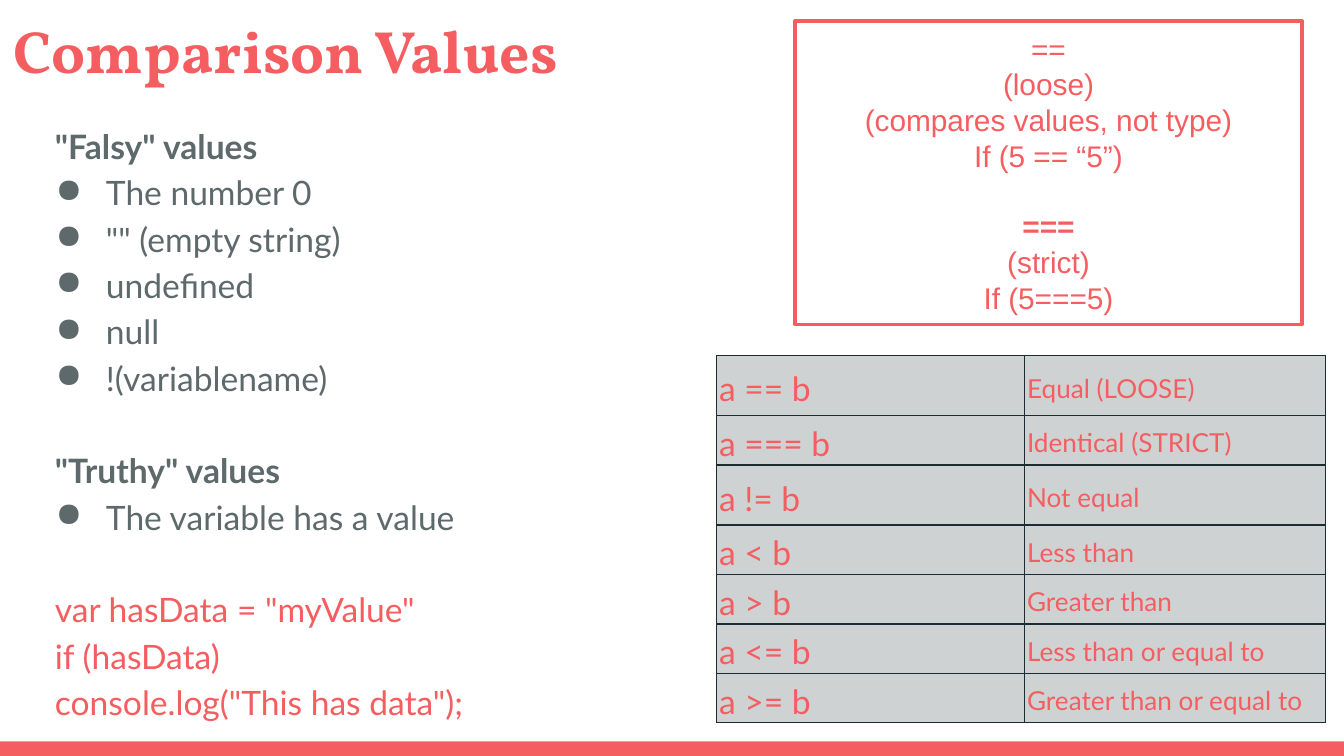
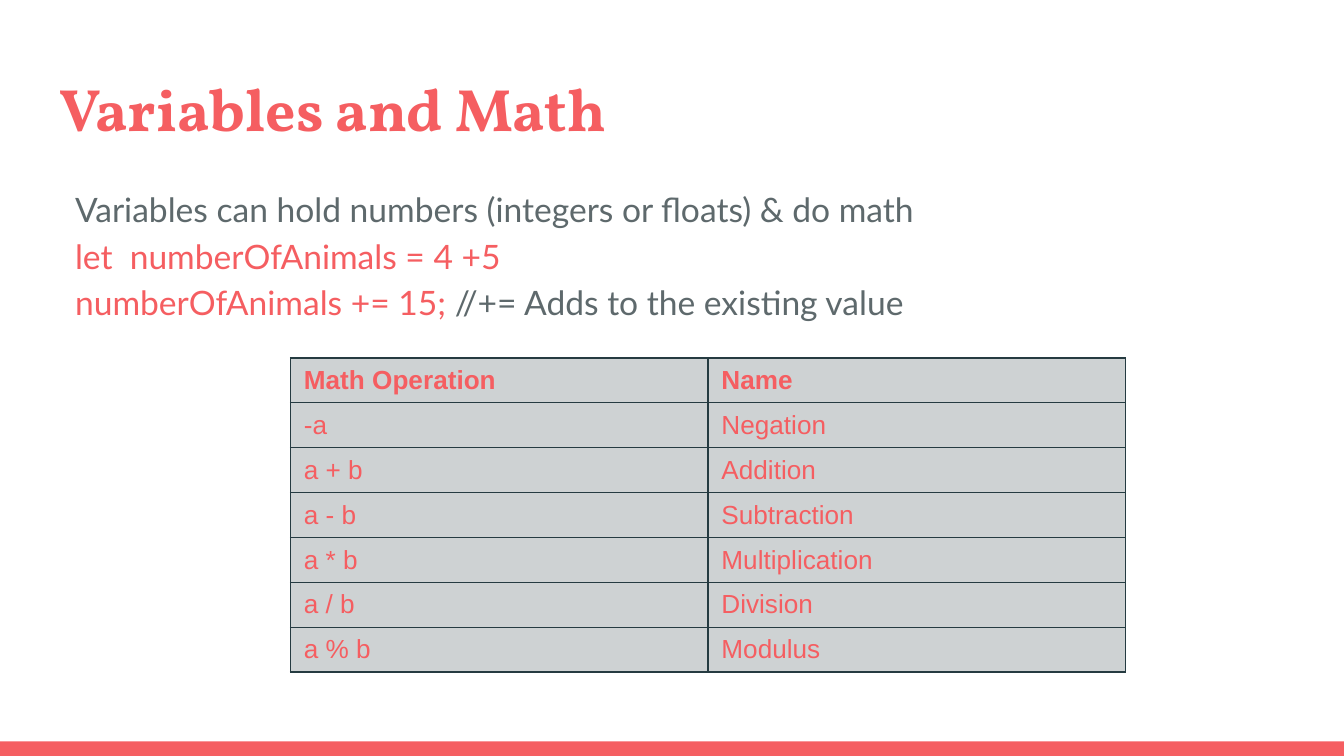
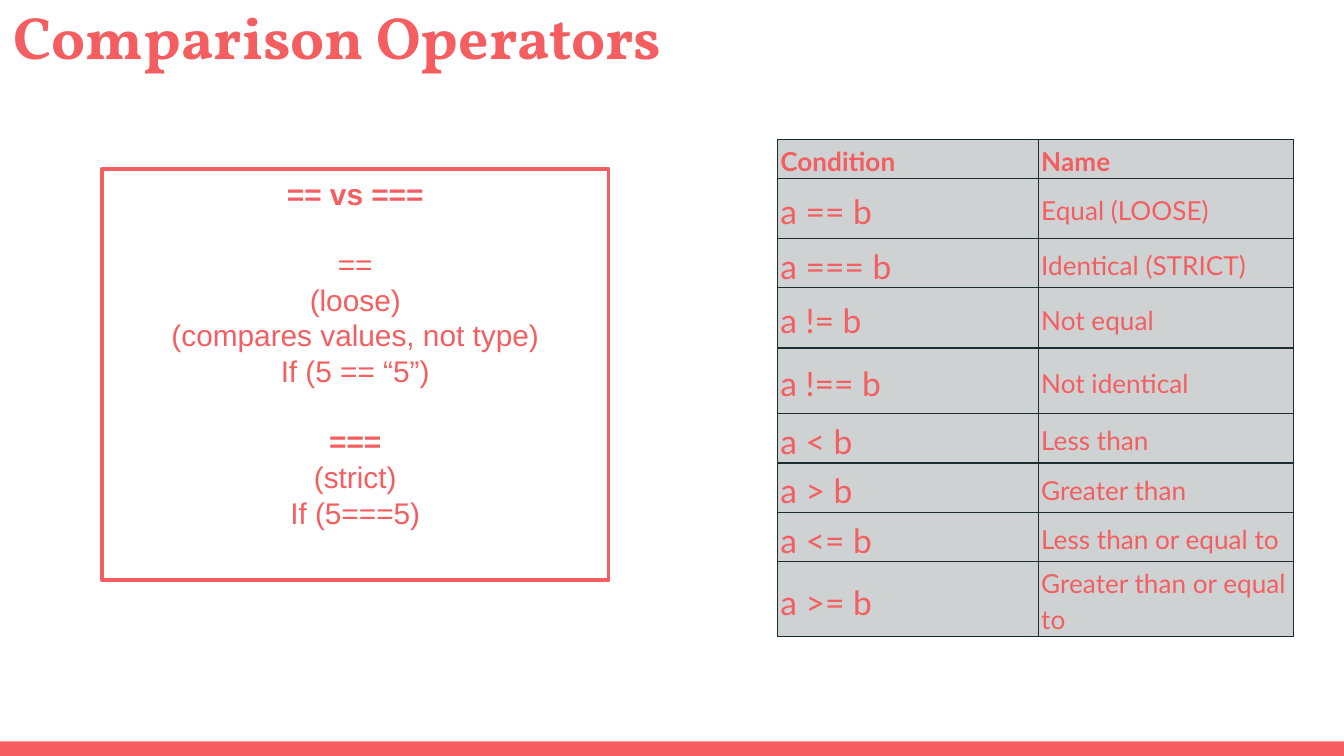
from pptx import Presentation
from pptx.dml.color import RGBColor
from pptx.enum.shapes import MSO_SHAPE as Shape
from pptx.enum.text import MSO_ANCHOR as Anchor, MSO_AUTO_SIZE as AutoSize, PP_ALIGN as Align
from pptx.oxml.ns import qn
from pptx.util import Pt
from lxml import etree

# Shared look
WIDTH, HEIGHT, BAND = 720, 405, 7.8
CORAL, GREY, WHITE, CELL = "F55E61", "5E696C", "FFFFFF", "CED2D3"
DARK, SLATE = "1D2C30", "253B41"
HEADING, BODY, SANS = "Vollkorn", "Lato", "Arial"
SPACING = 1.15
BODY_GAP, NOTE_GAP = 24.84, 18.4  # one empty line of body and note text

# Content: body lines are (kind, starts a new group, runs of (text, colour))
FALSY_TRUTHY = [
    ("head", False, [('"Falsy" values', GREY)]),
    ("bullet", False, [("The number 0", GREY)]),
    ("bullet", False, [('"" (empty string)', GREY)]),
    ("bullet", False, [("undefined", GREY)]),
    ("bullet", False, [("null", GREY)]),
    ("bullet", False, [("!(variablename)", GREY)]),
    ("head", True, [('"Truthy" values', GREY)]),
    ("bullet", False, [("The variable has a value", GREY)]),
    ("plain", True, [('var hasData = "myValue"', CORAL)]),
    ("plain", False, [("if (hasData)", CORAL)]),
    ("plain", False, [('console.log("This has data");', CORAL)]),
]
VARIABLES = [
    ("plain", False, [("Variables can hold numbers (integers or floats) & do math", GREY)]),
    ("plain", False, [("let  numberOfAnimals = 4 +5", CORAL)]),
    ("plain", False, [("numberOfAnimals += 15; ", CORAL),
                      ("//+= Adds to the existing value", GREY)]),
]

# Equality notes: groups of lines, with the bold ones listed
EQUALITY = [
    ["==", "(loose)", "(compares values, not type)", "If (5 == “5”)"],
    ["===", "(strict)", "If (5===5)"],
]
VERSUS = "== vs ==="
BOLD_NOTES = (VERSUS, "===")

# Operators: condition, name, row height
EQUAL = [
    ("a == b", "Equal (LOOSE)", 32.2),
    ("a === b", "Identical (STRICT)", 26.5),
    ("a != b", "Not equal", 32.2),
]
NOT_IDENTICAL = [("a !== b", "Not identical", 35.2)]
ORDER = [
    ("a < b", "Less than", 26.5),
    ("a > b", "Greater than", 26.5),
    ("a <= b", "Less than or equal to", 26.5),
    ("a >= b", "Greater than or equal to", 26.5),
]
CONDITION_HEAD = [("Condition", "Name", 20.4)]
MATH = [(operation, name, 24) for operation, name in [
    ("Math Operation", "Name"),
    ("-a", "Negation"),
    ("a + b", "Addition"),
    ("a - b", "Subtraction"),
    ("a * b", "Multiplication"),
    ("a / b", "Division"),
    ("a % b", "Modulus"),
]]


def rgb(colour):
    return RGBColor.from_string(colour)


def set_font(font, face, size, colour, bold=False):
    font.name, font.size, font.bold = face, Pt(size), bold
    font.color.rgb = rgb(colour)


def set_margins(frame, margin):
    frame.margin_left = frame.margin_right = Pt(margin)
    frame.margin_top = frame.margin_bottom = Pt(margin)


def next_paragraph(frame, index):
    return frame.add_paragraph() if index else frame.paragraphs[0]


def add_rect(slide, box, fill, outline=None):
    rect = slide.shapes.add_shape(Shape.RECTANGLE, *map(Pt, box))
    rect.shadow.inherit = False
    rect.fill.solid()
    rect.fill.fore_color.rgb = rgb(fill)
    if outline:
        rect.line.color.rgb = rgb(outline)
        rect.line.width = Pt(2)
    else:
        rect.line.fill.background()
    return rect


def add_slide(deck, heading, box):
    slide = deck.slides.add_slide(deck.slide_layouts[5])
    add_rect(slide, (0, HEIGHT - BAND, WIDTH, BAND), CORAL)
    title = slide.shapes.title
    title.left, title.top, title.width, title.height = map(Pt, box)
    frame = title.text_frame
    frame.text = heading
    frame.auto_size, frame.vertical_anchor = AutoSize.NONE, Anchor.TOP
    set_margins(frame, 7.2)
    line = frame.paragraphs[0]
    line.alignment = Align.LEFT
    set_font(line.font, HEADING, 32, CORAL, True)
    return slide


def add_body(slide, lines, box):
    frame = slide.shapes.add_textbox(*map(Pt, box)).text_frame
    frame.word_wrap = True
    set_margins(frame, 7.2)
    for index, (kind, new_group, runs) in enumerate(lines):
        line = next_paragraph(frame, index)
        line.line_spacing = SPACING
        if new_group:
            line.space_before = Pt(BODY_GAP)
        set_font(line.font, BODY, 18, runs[0][1], kind == "head")
        for text, colour in runs:
            run = line.add_run()
            run.text = text
            set_font(run.font, BODY, 18, colour, kind == "head")
        indent(line, kind == "bullet")


def indent(line, bulleted):
    properties = line._p.get_or_add_pPr()
    properties.set("marL", str(Pt(36 if bulleted else 8.64)))
    properties.set("indent", str(Pt(-27 if bulleted else 0)))
    if bulleted:
        colour = etree.Element(qn("a:buClr"))
        etree.SubElement(colour, qn("a:srgbClr"), val=GREY)
        mark = etree.Element(qn("a:buChar"), char="●")
        # Bullet marks come before the default run properties
        for part in (colour, mark):
            properties.find(qn("a:defRPr")).addprevious(part)


def add_notes(slide, groups, box):
    frame = add_rect(slide, box, WHITE, CORAL).text_frame
    frame.word_wrap = True
    frame.vertical_anchor = Anchor.MIDDLE if len(groups) == 2 else Anchor.TOP
    set_margins(frame, 3.6)
    notes = [(text, place == 0) for group in groups for place, text in enumerate(group)]
    for index, (text, starts_group) in enumerate(notes):
        line = next_paragraph(frame, index)
        line.text = text
        line.alignment = Align.CENTER
        if index and starts_group:
            line.space_before = Pt(NOTE_GAP)
        set_font(line.font, SANS, 16, CORAL, text in BOLD_NOTES)


def add_borders(cell, colour):
    properties = cell._tc.get_or_add_tcPr()
    for position, side in enumerate(("lnL", "lnR", "lnT", "lnB")):
        border = etree.Element(qn(f"a:{side}"), w=str(Pt(0.75)))
        fill = etree.SubElement(border, qn("a:solidFill"))
        etree.SubElement(fill, qn("a:srgbClr"), val=colour)
        properties.insert(position, border)


def add_grid(slide, rows, left, top, widths, border, headed, compact):
    """Compact grids use tight Lato cells with larger conditions."""
    height = sum(row[-1] for row in rows)
    table = slide.shapes.add_table(len(rows), len(widths), Pt(left), Pt(top),
                                   Pt(sum(widths)), Pt(height)).table
    table.first_row = table.horz_banding = False
    for column, width in zip(table.columns, widths):
        column.width = Pt(width)
    for row_index, (*texts, row_height) in enumerate(rows):
        table.rows[row_index].height = Pt(row_height)
        is_head = headed and row_index == 0
        for column_index, text in enumerate(texts):
            cell = table.cell(row_index, column_index)
            cell.text = text
            cell.vertical_anchor = Anchor.MIDDLE
            cell.fill.solid()
            cell.fill.fore_color.rgb = rgb(CELL)
            add_borders(cell, border)
            line = cell.text_frame.paragraphs[0]
            large = compact and column_index == 0 and not is_head
            set_font(line.font, BODY if compact else SANS, 18 if large else 14, CORAL, is_head)
            if compact:
                cell.margin_left = cell.margin_right = Pt(1.44)
                cell.margin_top = cell.margin_bottom = Pt(0.72)
                line.line_spacing, line.space_after = SPACING, Pt(10)


def main():
    deck = Presentation()
    deck.slide_width, deck.slide_height = Pt(WIDTH), Pt(HEIGHT)

    # Comparison values
    slide = add_slide(deck, "Comparison Values", (0, 0, 340, 49))
    add_body(slide, FALSY_TRUTHY, (13.7, 57, 326, 269))
    add_notes(slide, EQUALITY, (426, 11.2, 271.5, 162.7))
    add_grid(slide, EQUAL + ORDER, 383.8, 190.5, (165, 161.3), DARK, False, True)

    # Variables and math
    slide = add_slide(deck, "Variables and Math", (24.5, 31, 671, 49))
    add_body(slide, VARIABLES, (24.5, 91, 671, 269))
    add_grid(slide, MATH, 155.6, 191.8, (223.7, 223.7), SLATE, True, False)

    # Comparison operators
    slide = add_slide(deck, "Comparison Operators", (0, -7.2, 671, 49))
    add_grid(slide, CONDITION_HEAD + EQUAL + NOT_IDENTICAL + ORDER,
             416.6, 74.8, (139.8, 136.7), DARK, True, True)
    add_notes(slide, [[VERSUS]] + EQUALITY, (54.6, 90.4, 271.5, 220.4))

    deck.save("out.pptx")


if __name__ == "__main__":
    main()
